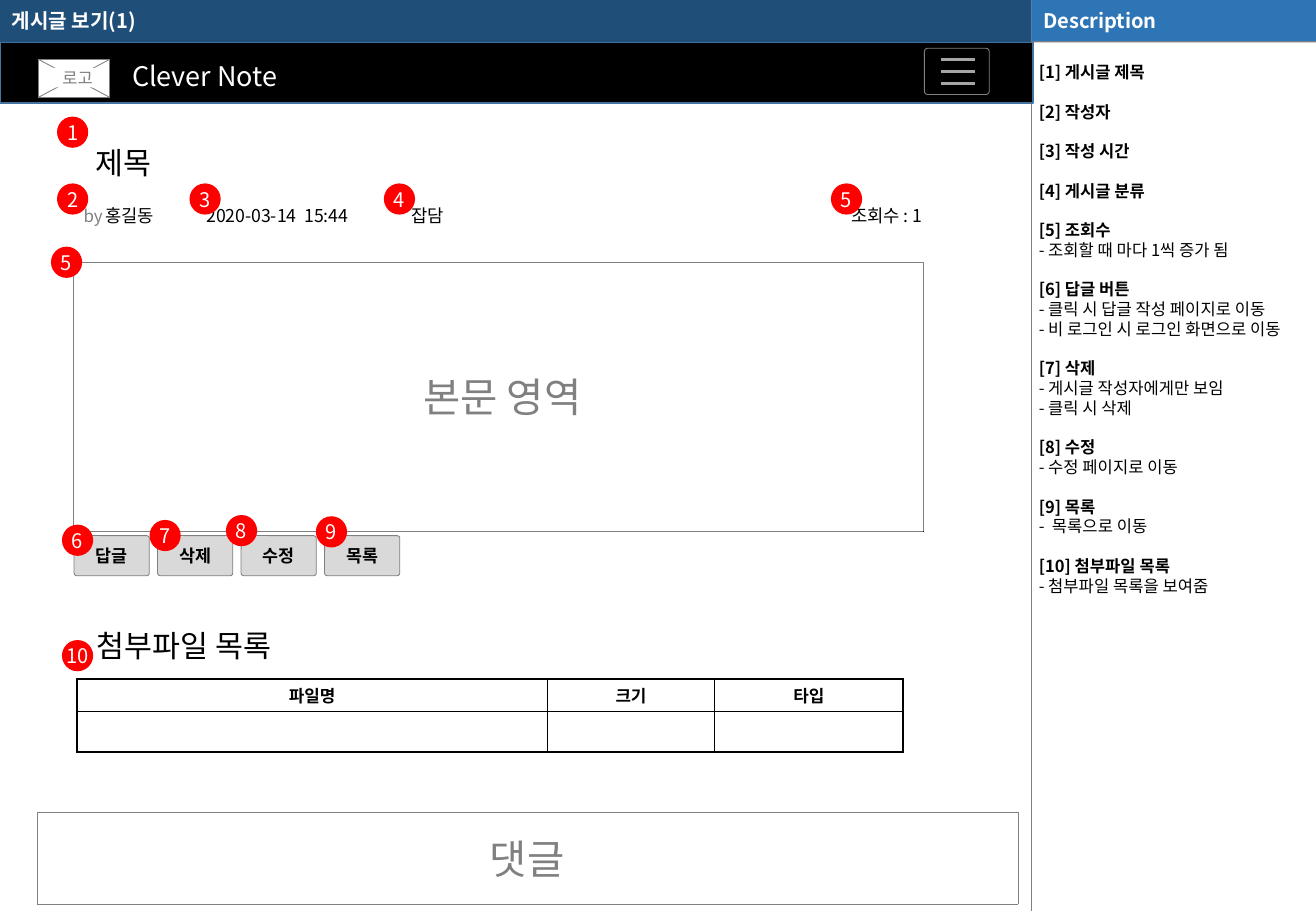
import pptx
import pptx.util
from pptx.dml.color import RGBColor
from pptx.enum.shapes import MSO_CONNECTOR, MSO_SHAPE
from pptx.enum.text import MSO_ANCHOR, PP_ALIGN
from pptx.oxml.ns import qn
from lxml import etree

Pt = pptx.util.Pt
FONT = "Noto Sans CJK KR"
WHITE = RGBColor(0xFF, 0xFF, 0xFF)
BLACK = RGBColor(0, 0, 0)
GRAY = RGBColor(0x80, 0x80, 0x80)
MENU_GRAY = RGBColor(0xA6, 0xA6, 0xA6)
BUTTON_GRAY = RGBColor(0xD9, 0xD9, 0xD9)
NAVY = RGBColor(0x1F, 0x4E, 0x79)
BLUE = RGBColor(0x2E, 0x75, 0xB6)
BAR_EDGE = RGBColor(0x43, 0x73, 0x9E)
RED = RGBColor(0xFF, 0, 0)

DESCRIPTION = [
    ("[1] 게시글 제목", []),
    ("[2] 작성자", []),
    ("[3] 작성 시간", []),
    ("[4] 게시글 분류", []),
    ("[5] 조회수", ["- 조회할 때 마다 1씩 증가 됨"]),
    ("[6] 답글 버튼", ["- 클릭 시 답글 작성 페이지로 이동",
                   "- 비 로그인 시 로그인 화면으로 이동"]),
    ("[7] 삭제", ["- 게시글 작성자에게만 보임", "- 클릭 시 삭제"]),
    ("[8] 수정", ["- 수정 페이지로 이동"]),
    ("[9] 목록", ["-  목록으로 이동"]),
    ("[10] 첨부파일 목록", ["- 첨부파일 목록을 보여줌"]),
]
# text, (left, top, width, height), size, colour
LABELS = [
    ("제목", (49.7, 82.1, 51, 28.8), 18, BLACK),
    ("by", (42.5, 118, 26, 20), 10, GRAY),
    ("홍길동", (55.4, 118, 46, 20), 10.5, BLACK),
    ("2020-03-14  15:44", (115.2, 118, 103, 20), 10.5, BLACK),
    ("잡담", (236.9, 118, 36, 20), 10.5, BLACK),
    ("조회수 : 1", (497.5, 118, 62, 20), 10.5, BLACK),
    ("첨부파일 목록", (50.4, 368, 130.3, 28.8), 18, BLACK),
]
BUTTONS = ["답글", "삭제", "수정", "목록"]
MARKERS = [
    ("1", 33.8, 69.1), ("2", 33.8, 108.7), ("3", 112.3, 108.7),
    ("4", 227.5, 108.7), ("5", 492.5, 108.7), ("5", 30.2, 146.2),
    ("6", 36.7, 311), ("7", 88.6, 308.2), ("8", 133.9, 305.3),
    ("9", 187.2, 306), ("10", 36.7, 379.4),
]
FILE_HEADERS = ["파일명", "크기", "타입"]
FILE_COLUMNS = [278.6, 99.4, 111.6]
FILE_ROWS = [19, 24.3]
BODY_AREA = (43.2, 155.5, 504, 159.1)
COMMENT_AREA = (22.3, 481.7, 581, 54)
LOGO = (23, 35.3, 41.8, 22.3)

prs = pptx.Presentation()
prs.slide_width, prs.slide_height = Pt(780), Pt(540)
s = prs.slides.add_slide(prs.slide_layouts[6])


def pts(values):
    return [Pt(v) for v in values]


def write(p, text, size, color, bold=False):
    r = p.add_run()
    r.text = text
    for name, value in {"name": FONT, "size": Pt(size), "bold": bold}.items():
        setattr(r.font, name, value)
    r.font.color.rgb = color
    latin = r.font._element.find(qn("a:latin"))
    latin.addnext(latin.makeelement(qn("a:ea"), {"typeface": FONT}))


def label(sp, text, size, color, bold=False, align=PP_ALIGN.LEFT, inset=None, wrap=True):
    """Put one vertically centred line of text in a shape."""
    tf = sp.text_frame
    tf.word_wrap = wrap
    tf.vertical_anchor = MSO_ANCHOR.MIDDLE
    if inset is not None:
        tf.margin_left = tf.margin_right = Pt(inset)
        tf.margin_top = tf.margin_bottom = 0
    p = tf.paragraphs[0]
    p.alignment = align
    write(p, text, size, color, bold)


def box(at, fill=None, line=None, width=0.5, kind=MSO_SHAPE.RECTANGLE):
    sp = s.shapes.add_shape(kind, *pts(at))
    sp.shadow.inherit = False
    if kind == MSO_SHAPE.ROUNDED_RECTANGLE:
        sp.adjustments[0] = 0.07
    if fill is None:
        sp.fill.background()
    else:
        sp.fill.solid()
        sp.fill.fore_color.rgb = fill
    if line is None:
        sp.line.fill.background()
    else:
        sp.line.color.rgb = line
        sp.line.width = Pt(width)
    return sp


def rule(x1, y1, x2, y2, color, width):
    ln = s.shapes.add_connector(MSO_CONNECTOR.STRAIGHT, *pts((x1, y1, x2, y2)))
    ln.line.color.rgb = color
    ln.line.width = Pt(width)
    etree.SubElement(ln._element.spPr, qn("a:effectLst"))


def grid(left, top, columns, rows, color, outer, inner):
    """Add a white table with separate outer and inner border widths."""
    at = pts((left, top, sum(columns), sum(rows)))
    table = s.shapes.add_table(len(rows), len(columns), *at).table
    table.first_row = table.horz_banding = False
    for i, width in enumerate(columns):
        table.columns[i].width = Pt(width)
    for j, height in enumerate(rows):
        table.rows[j].height = Pt(height)
        for i in range(len(columns)):
            cell = table.cell(j, i)
            cell.margin_top = cell.margin_bottom = 0
            cell.vertical_anchor = MSO_ANCHOR.MIDDLE
            cell.fill.solid()
            cell.fill.fore_color.rgb = WHITE
            edges = {"lnL": i == 0, "lnR": i == len(columns) - 1,
                     "lnT": j == 0, "lnB": j == len(rows) - 1}
            tcPr = cell._tc.get_or_add_tcPr()
            for n, (tag, is_outer) in enumerate(edges.items()):
                ln = etree.Element(qn("a:" + tag), w=str(Pt(outer if is_outer else inner)))
                fill = etree.SubElement(ln, qn("a:solidFill"))
                etree.SubElement(fill, qn("a:srgbClr"), val=str(color))
                tcPr.insert(n, ln)
    return table


# Header bars and description pane
box((0, 0, 611.3, 25.2), NAVY)
box((611.3, 0, 168.7, 25.2), GRAY)
rule(611.3, 24.5, 611.3, 540, GRAY, 0.25)
label(box((611.3, 0, 168.7, 24.5), BLUE), "Description", 11.9, WHITE, True)
box((0, 25.2, 612.5, 36), BLACK, BAR_EDGE, 1)
title = s.shapes.add_textbox(*pts((0, 0, 594, 24)))
label(title, "게시글 보기(1)", 11.9, WHITE, True)

LINE = 11.7
tf = s.shapes.add_textbox(*pts((612.7, 25.2 + LINE, 167.3, 503))).text_frame
tf.word_wrap = True
tf.margin_left = tf.margin_right = Pt(3)
tf.margin_top = tf.margin_bottom = 0
for n, (heading, notes) in enumerate(DESCRIPTION):
    for k, text in enumerate([heading] + notes):
        p = tf.add_paragraph() if n or k else tf.paragraphs[0]
        p.line_spacing = Pt(LINE)
        p.space_before = Pt(LINE if n and not k else 0)
        write(p, text, 9.8, BLACK, k == 0)

# Navigation bar
site = s.shapes.add_textbox(*pts((59.8, 31.7, 123, 26.6)))
label(site, "Clever Note", 16, WHITE, align=PP_ALIGN.CENTER)
x, y, w, h = LOGO
box(LOGO, WHITE, GRAY)
rule(x, y + h, x + w, y, GRAY, 0.5)
rule(x, y, x + w, y + h, GRAY, 0.5)
label(box((30.2, 40.3, 31.7, 11.5), WHITE), "로고", 9.8, GRAY,
      align=PP_ALIGN.CENTER, inset=3)
box((547.9, 28.6, 38.4, 27.4), None, GRAY, kind=MSO_SHAPE.ROUNDED_RECTANGLE)
for n in range(3):
    y = 35.4 + 7 * n
    rule(557.5, y, 578, y, MENU_GRAY, 1.5)

# Body and comment areas
box(BODY_AREA, WHITE, BLACK, 0.25)
for (x, y, w, h), text, width in [(BODY_AREA, "본문 영역", 161.3),
                                  (COMMENT_AREA, "댓글", 97.9)]:
    grid(x, y, [w], [h], GRAY, 0.25, 0.25)
    label(box((x + w / 2 + (2.6 if text == "본문 영역" else -0.3) - width / 2,
               y + h / 2 - 14.4, width, 28.8), WHITE),
          text, 24, GRAY, align=PP_ALIGN.CENTER, inset=0)

for text, at, size, color in LABELS:
    label(s.shapes.add_textbox(*pts(at)), text, size, color, wrap=False)
for n, text in enumerate(BUTTONS):
    button = box((43.9 + 49.5 * n, 317.5, 44.6, 23.8), BUTTON_GRAY, GRAY,
                 kind=MSO_SHAPE.ROUNDED_RECTANGLE)
    label(button, text, 10.3, BLACK, True, PP_ALIGN.CENTER)

# Attached files
files = grid(45.7, 402.5, FILE_COLUMNS, FILE_ROWS, BLACK, 1, 0.5)
for i, text in enumerate(FILE_HEADERS):
    p = files.cell(0, i).text_frame.paragraphs[0]
    p.alignment = PP_ALIGN.CENTER
    write(p, text, 10, BLACK, True)

for text, x, y in MARKERS:
    label(box((x, y, 18.5, 18.5), RED, kind=MSO_SHAPE.OVAL), text, 11.9, WHITE,
          align=PP_ALIGN.CENTER, inset=0, wrap=False)

prs.save("out.pptx")
